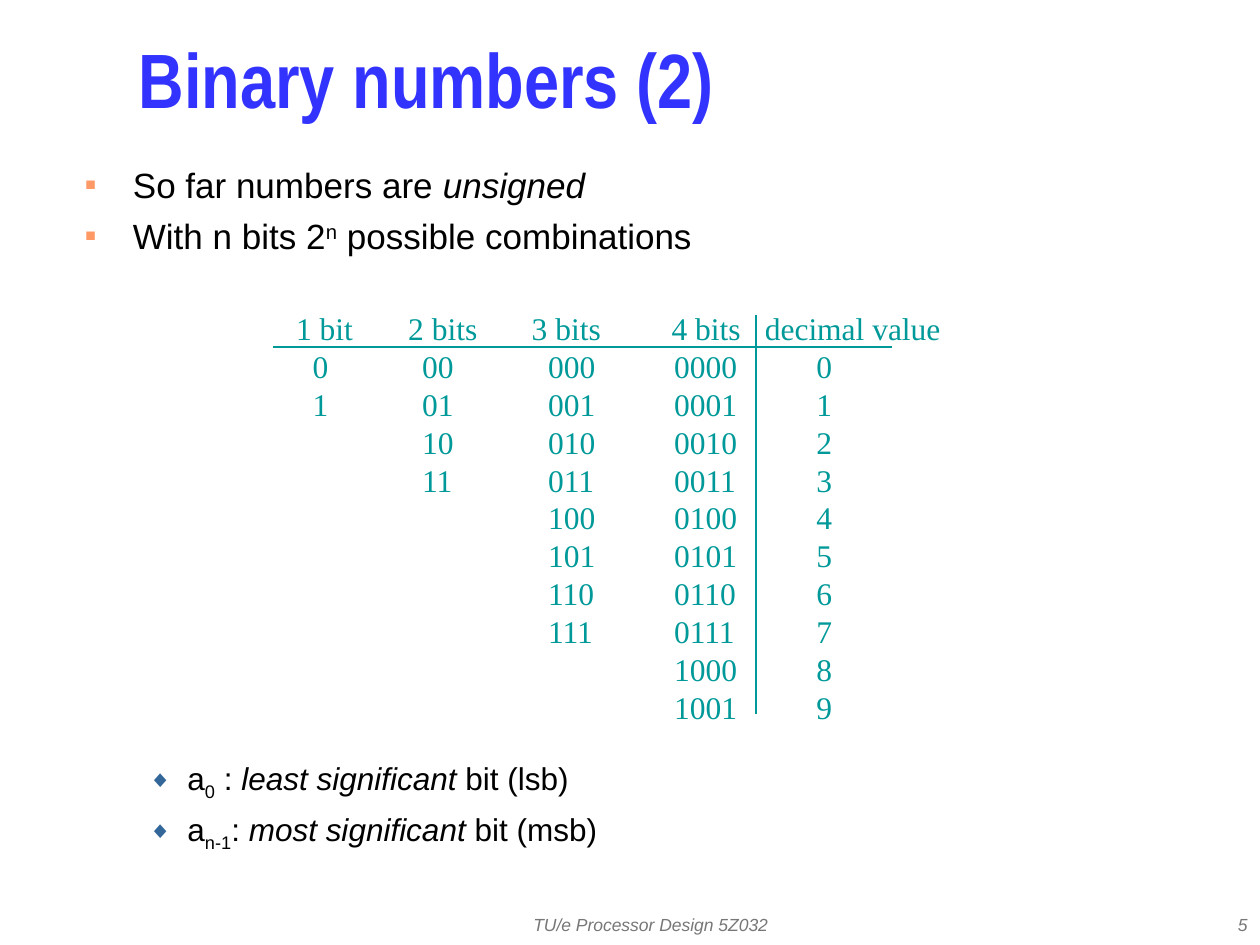
from lxml import etree
from pptx import Presentation
from pptx.dml.color import RGBColor
from pptx.enum.shapes import MSO_CONNECTOR
from pptx.enum.text import MSO_ANCHOR, MSO_AUTO_SIZE, PP_ALIGN
from pptx.oxml.ns import qn
from pptx.util import Cm, Pt

LEFT, CENTER, RIGHT = PP_ALIGN.LEFT, PP_ALIGN.CENTER, PP_ALIGN.RIGHT
TOP, MIDDLE = MSO_ANCHOR.TOP, MSO_ANCHOR.MIDDLE
NO_AUTOFIT = MSO_AUTO_SIZE.NONE
STRAIGHT = MSO_CONNECTOR.STRAIGHT
TITLE_ONLY = 5

THEME = {
    "title": {"name": "Arial Narrow", "size": Pt(44), "bold": True, "color": "3333FF"},
    "point": {"name": "Arial", "size": Pt(20), "color": "010000"},
    "subpoint": {"name": "Arial", "size": Pt(18), "color": "010000"},
    "table": {"name": "Times New Roman", "size": Pt(18), "bold": False, "color": "009999"},
    "footer": {"name": "Arial", "size": Pt(10), "italic": True, "color": "777777"},
    "rule": "009999",
}
BULLETS = {
    "point": {"char": "■", "color": "FF9966", "size": "50000", "margin": 0.96, "hang": 0.96},
    "subpoint": {"char": "◆", "color": "336699", "size": "75000", "margin": 2.06, "hang": 0.79},
}


def set_font(font, style):
    for name, value in style.items():
        if name == "color":
            font.color.rgb = RGBColor.from_string(value)
        else:
            setattr(font, name, value)


def set_bullet(paragraph, bullet):
    properties = paragraph._p.get_or_add_pPr()
    properties.set("marL", str(Cm(bullet["margin"])))
    properties.set("indent", str(-Cm(bullet["hang"])))
    color = etree.SubElement(properties, qn("a:buClr"))
    etree.SubElement(color, qn("a:srgbClr"), val=bullet["color"])
    etree.SubElement(properties, qn("a:buSzPct"), val=bullet["size"])
    etree.SubElement(properties, qn("a:buFont"), typeface="Arial")
    etree.SubElement(properties, qn("a:buChar"), char=bullet["char"])


presentation = Presentation()
presentation.slide_width, presentation.slide_height = Cm(25.4), Cm(19.05)
slide = presentation.slides.add_slide(presentation.slide_layouts[TITLE_ONLY])

title = slide.shapes.title
title.left, title.top, title.width, title.height = Cm(2.54), Cm(0.43), Cm(21.79), Cm(2.74)
title.text_frame.text = "Binary numbers (2)"
title.text_frame.auto_size = NO_AUTOFIT
title.text_frame.vertical_anchor = MIDDLE
paragraph = title.text_frame.paragraphs[0]
paragraph.alignment = LEFT
paragraph.line_spacing = 0.7
set_font(paragraph.runs[0].font, THEME["title"])

points = [
    ("point", 0, [("So far numbers are ", {}), ("unsigned", {"i": "1"})]),
    ("point", 5, [("With n bits 2", {}), ("n", {"baseline": "30000"}),
                  (" possible combinations", {})]),
    ("subpoint", 287, [("a", {}), ("0", {"baseline": "-25000"}), (" : ", {}),
                       ("least significant", {"i": "1"}), (" bit (lsb)", {})]),
    ("subpoint", 4.5, [("a", {}), ("n-1", {"baseline": "-25000"}), (": ", {}),
                       ("most significant", {"i": "1"}), (" bit (msb)", {})]),
]
body = slide.shapes.add_textbox(Cm(1.47), Cm(3.18), Cm(23.06), Cm(14.6))
body.text_frame.word_wrap = True
for index, (level, space, pieces) in enumerate(points):
    paragraph = body.text_frame.paragraphs[0] if index == 0 else body.text_frame.add_paragraph()
    set_bullet(paragraph, BULLETS[level])
    paragraph.space_before = Pt(space)
    for text, attributes in pieces:
        run = paragraph.add_run()
        run.text = text
        set_font(run.font, THEME[level])
        for name, value in attributes.items():
            run.font._element.set(name, value)

columns = [
    {"header": "1 bit", "bits": 1, "width": 2.26, "indent": 0.33},
    {"header": "2 bits", "bits": 2, "width": 2.49, "indent": 0.28},
    {"header": "3 bits", "bits": 3, "width": 2.82, "indent": 0.33},
    {"header": "4 bits", "bits": 4, "width": 1.88, "indent": 0.05},
    {"header": "decimal value", "bits": None, "width": 3.8, "indent": 1.04},
]
value_count = 10
row_height = Cm(0.76)
table_width = Cm(sum(column["width"] for column in columns))
table = slide.shapes.add_table(value_count + 1, len(columns), Cm(5.97), Cm(6.27),
                               table_width, row_height * (value_count + 1)).table
table.first_row = table.horz_banding = False
for row in table.rows:
    row.height = row_height
for column_index, column in enumerate(columns):
    table.columns[column_index].width = Cm(column["width"])
    bits = column["bits"]
    values = range(value_count if bits is None else min(2 ** bits, value_count))
    texts = [column["header"]] + [str(value) if bits is None else f"{value:0{bits}b}"
                                  for value in values]
    for row_index in range(value_count + 1):
        cell = table.cell(row_index, column_index)
        cell.fill.background()
        cell.vertical_anchor = MIDDLE
        cell.margin_top = cell.margin_bottom = cell.margin_right = 0
        cell.margin_left = Cm(column["indent"]) if row_index else 0
        paragraph = cell.text_frame.paragraphs[0]
        if row_index < len(texts):
            paragraph.text = texts[row_index]
        set_font(paragraph.font, THEME["table"])

for ends in [(5.51, 6.99, 17.98, 6.99), (15.24, 6.35, 15.24, 14.4)]:
    rule = slide.shapes.add_connector(STRAIGHT, *map(Cm, ends))
    rule.line.color.rgb = RGBColor.from_string(THEME["rule"])
    rule.line.width = Pt(1)
    etree.SubElement(rule._element.spPr, qn("a:effectLst"))

for text, left, width, alignment in [
    ("TU/e Processor Design 5Z032", 9.09, 8.05, CENTER),
    ("5", 20.12, 5.28, RIGHT),
]:
    footer = slide.shapes.add_textbox(Cm(left), Cm(18.21), Cm(width), Cm(0.84))
    footer.text_frame.word_wrap = True
    footer.text_frame.vertical_anchor = MIDDLE
    paragraph = footer.text_frame.paragraphs[0]
    paragraph.text = text
    paragraph.alignment = alignment
    set_font(paragraph.runs[0].font, THEME["footer"])

body.text_frame.vertical_anchor = TOP
presentation.save("out.pptx")
